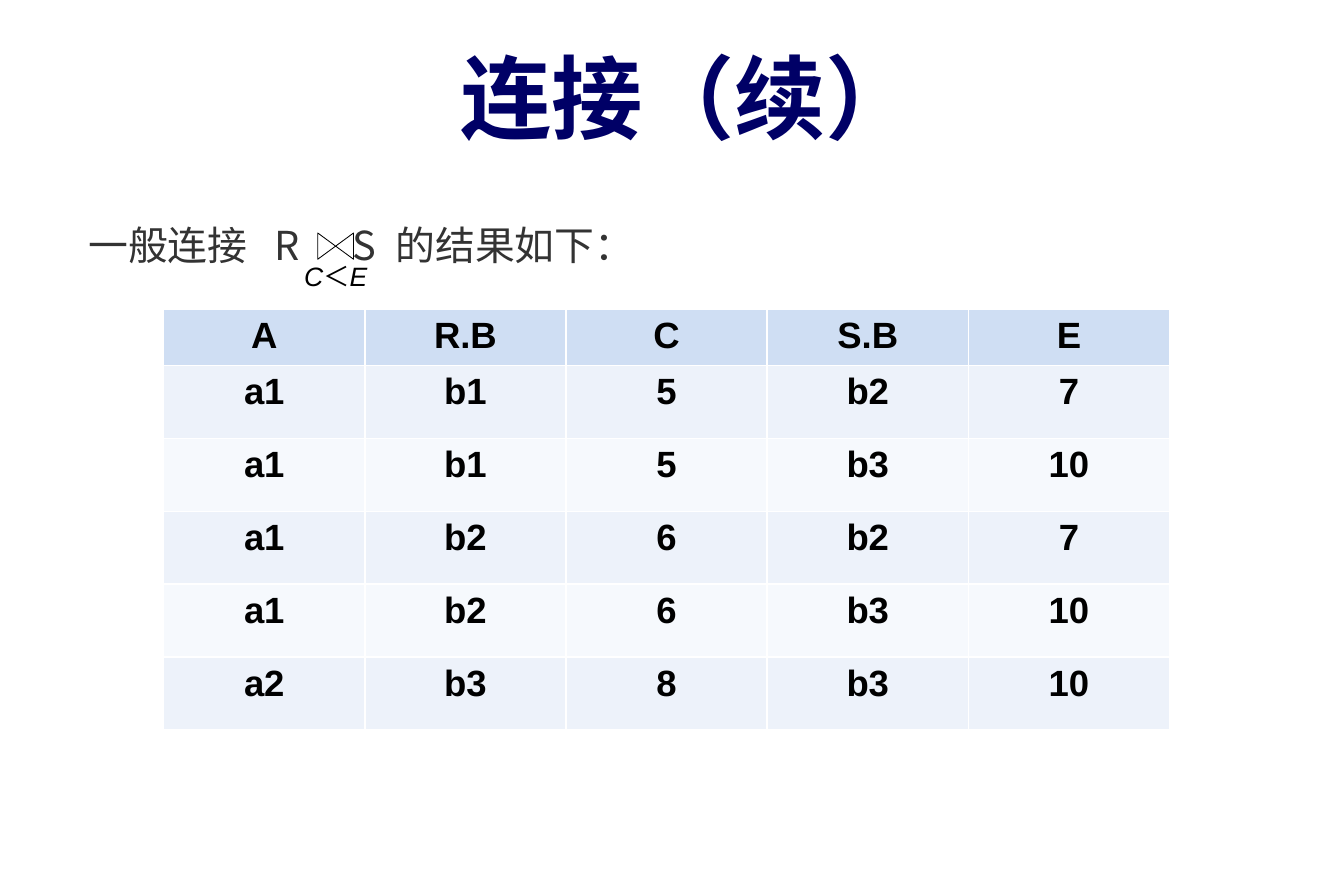
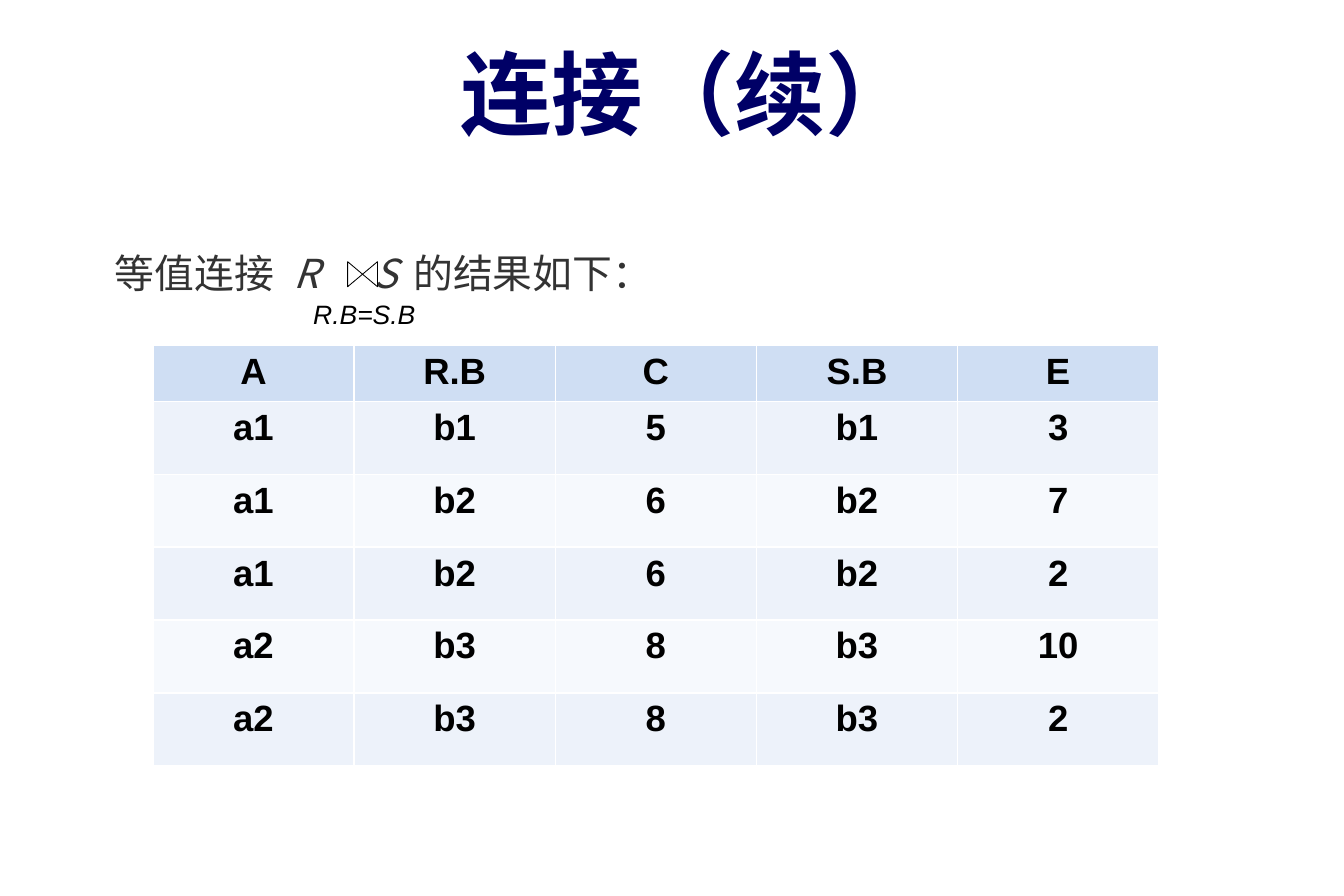
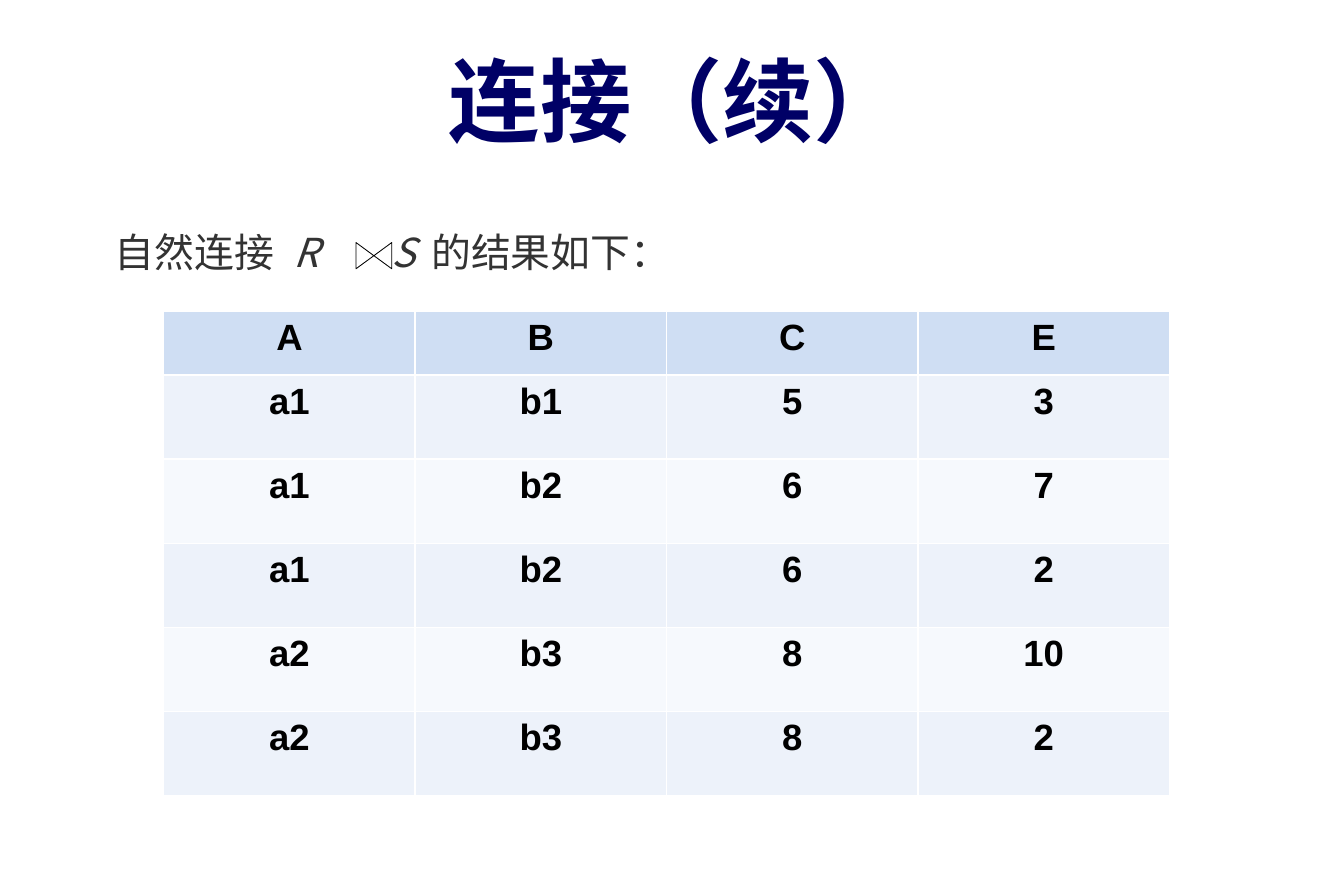
"""Build three slides on relational joins, each with a formula and a result table."""
from lxml.etree import SubElement
from pptx import Presentation
from pptx.dml.color import RGBColor
from pptx.enum.shapes import MSO_SHAPE as Shape
from pptx.enum.text import MSO_ANCHOR as Anchor, PP_ALIGN as Align
from pptx.oxml.ns import qn
from pptx.util import Inches, Pt

NAVY = RGBColor(0x00, 0x00, 0x66)
GREY = RGBColor(0x33, 0x33, 0x33)
BLACK = RGBColor(0x00, 0x00, 0x00)
WHITE = RGBColor(0xFF, 0xFF, 0xFF)
HEADER_BLUE = RGBColor(0xCF, 0xDE, 0xF3)
BANDS = (RGBColor(0xED, 0xF2, 0xFA), RGBColor(0xF6, 0xF9, 0xFD))
CHINESE_FONT = "Noto Sans CJK SC"


def add_span(para, text, size, font="Arial", color=BLACK, bold=False, italic=False):
    span = para.add_run()
    span.text = text
    span.font.name = font
    span.font.size = Pt(size)
    span.font.bold = bold
    span.font.italic = italic
    span.font.color.rgb = color
    SubElement(span._r.get_or_add_rPr(), qn("a:ea"), typeface=CHINESE_FONT)


class JoinDeck:
    def __init__(self):
        self.deck = Presentation()
        self.deck.slide_width = Inches(11.25)
        self.deck.slide_height = Inches(7.5)
        self.page = None

    def add_page(self):
        self.page = self.deck.slides.add_slide(self.deck.slide_layouts[6])

    def add_box(self, left, top, width, height, margins=(0.18, 0.09),
                anchor=Anchor.TOP, align=Align.LEFT, wrap=True, spacing=1.0):
        box = self.page.shapes.add_textbox(
            Inches(left), Inches(top), Inches(width), Inches(height))
        frame = box.text_frame
        frame.word_wrap = wrap
        frame.vertical_anchor = anchor
        frame.margin_left = frame.margin_right = Inches(margins[0])
        frame.margin_top = frame.margin_bottom = Inches(margins[1])
        para = frame.paragraphs[0]
        para.alignment = align
        para.line_spacing = spacing
        return para

    def add_title(self, left, top):
        para = self.add_box(left, top, 9.09, 0.62, anchor=Anchor.MIDDLE, align=Align.CENTER)
        add_span(para, "连接（续）", 55, font="Karla", color=NAVY, bold=True)

    def add_formula(self, left, top, name, stops, italic=False):
        para = self.add_box(left, top, 10, 0.88, spacing=0.9)
        tabs = SubElement(para._p.get_or_add_pPr(), qn("a:tabLst"))
        for stop in stops:
            SubElement(tabs, qn("a:tab"), pos=str(Inches(stop)), algn="l")
        pieces = ((name, False), ("\tR\tS", italic), ("\t的结果如下：", False))
        for text, slanted in pieces:
            add_span(para, text, 24, font=CHINESE_FONT, color=GREY, italic=slanted)

    def add_bowtie(self, left, top, width, height):
        bowtie = self.page.shapes.add_shape(
            Shape.FLOWCHART_COLLATE, Inches(left), Inches(top), Inches(width), Inches(height))
        bowtie.rotation = 270
        bowtie.shadow.inherit = False
        bowtie.fill.solid()
        bowtie.fill.fore_color.rgb = WHITE
        bowtie.line.color.rgb = BLACK
        bowtie.line.width = Pt(0.5)

    def add_condition(self, left, top, pieces):
        para = self.add_box(left, top, 1.22, 0.67, margins=(0.1, 0.05),
                            anchor=Anchor.MIDDLE, align=Align.CENTER, wrap=False, spacing=0.8)
        for text in pieces:
            add_span(para, text, 16, italic=text != "＜")

    def add_table(self, left, top, height, header_height, lines):
        rows = [line.split() for line in lines]
        width = 8.42
        table = self.page.shapes.add_table(
            len(rows), len(rows[0]), Inches(left), Inches(top),
            Inches(width), Inches(height)).table
        table.first_row = table.horz_banding = False
        for column in table.columns:
            column.width = Inches(width / len(rows[0]))
        body_height = (height - header_height) / (len(rows) - 1)
        for index, values in enumerate(rows):
            table.rows[index].height = Inches(body_height if index else header_height)
            color = BANDS[(index - 1) % 2] if index else HEADER_BLUE
            for cell, value in zip(table.rows[index].cells, values):
                self.fill_cell(cell, value, color)

    def fill_cell(self, cell, value, color):
        cell.margin_left = cell.margin_right = Inches(0.11)
        cell.margin_top = cell.margin_bottom = Inches(0.05)
        properties = cell._tc.get_or_add_tcPr()
        for side in ("a:lnL", "a:lnR", "a:lnT", "a:lnB"):
            border = SubElement(properties, qn(side), w=str(Pt(1)))
            paint = SubElement(border, qn("a:solidFill"))
            SubElement(paint, qn("a:srgbClr"), val=str(WHITE))
        cell.fill.solid()
        cell.fill.fore_color.rgb = color
        para = cell.text_frame.paragraphs[0]
        para.alignment = Align.CENTER
        add_span(para, value, 22, bold=True)


def main():
    joins = JoinDeck()

    joins.add_page()
    joins.add_title(1.22, 0.49)
    joins.add_formula(0.56, 1.8, "一般连接", (1.56, 2.21, 2.57))
    joins.add_bowtie(2.7, 1.91, 0.22, 0.3)
    joins.add_condition(2.2, 2, ("C", "＜", "E"))
    joins.add_table(1.37, 2.59, 3.52, 0.47, (
        "A R.B C S.B E", "a1 b1 5 b2 7", "a1 b1 5 b3 10",
        "a1 b2 6 b2 7", "a1 b2 6 b3 10", "a2 b3 8 b3 10"))

    joins.add_page()
    joins.add_title(1.22, 0.46)
    joins.add_formula(0.78, 2.04, "等值连接", (1.5, 2.17, 2.5), italic=True)
    joins.add_condition(2.44, 2.32, ("R.B=S.B",))
    joins.add_bowtie(2.93, 2.17, 0.21, 0.25)
    joins.add_table(1.28, 2.89, 3.52, 0.47, (
        "A R.B C S.B E", "a1 b1 5 b1 3", "a1 b2 6 b2 7",
        "a1 b2 6 b2 2", "a2 b3 8 b3 10", "a2 b3 8 b3 2"))

    joins.add_page()
    joins.add_title(1.12, 0.52)
    joins.add_formula(0.78, 1.86, "自然连接", (1.5, 2.32, 2.65), italic=True)
    joins.add_bowtie(3.02, 1.99, 0.22, 0.3)
    joins.add_table(1.37, 2.61, 4.05, 0.53, (
        "A B C E", "a1 b1 5 3", "a1 b2 6 7",
        "a1 b2 6 2", "a2 b3 8 10", "a2 b3 8 2"))

    joins.deck.save("out.pptx")


if __name__ == "__main__":
    main()
